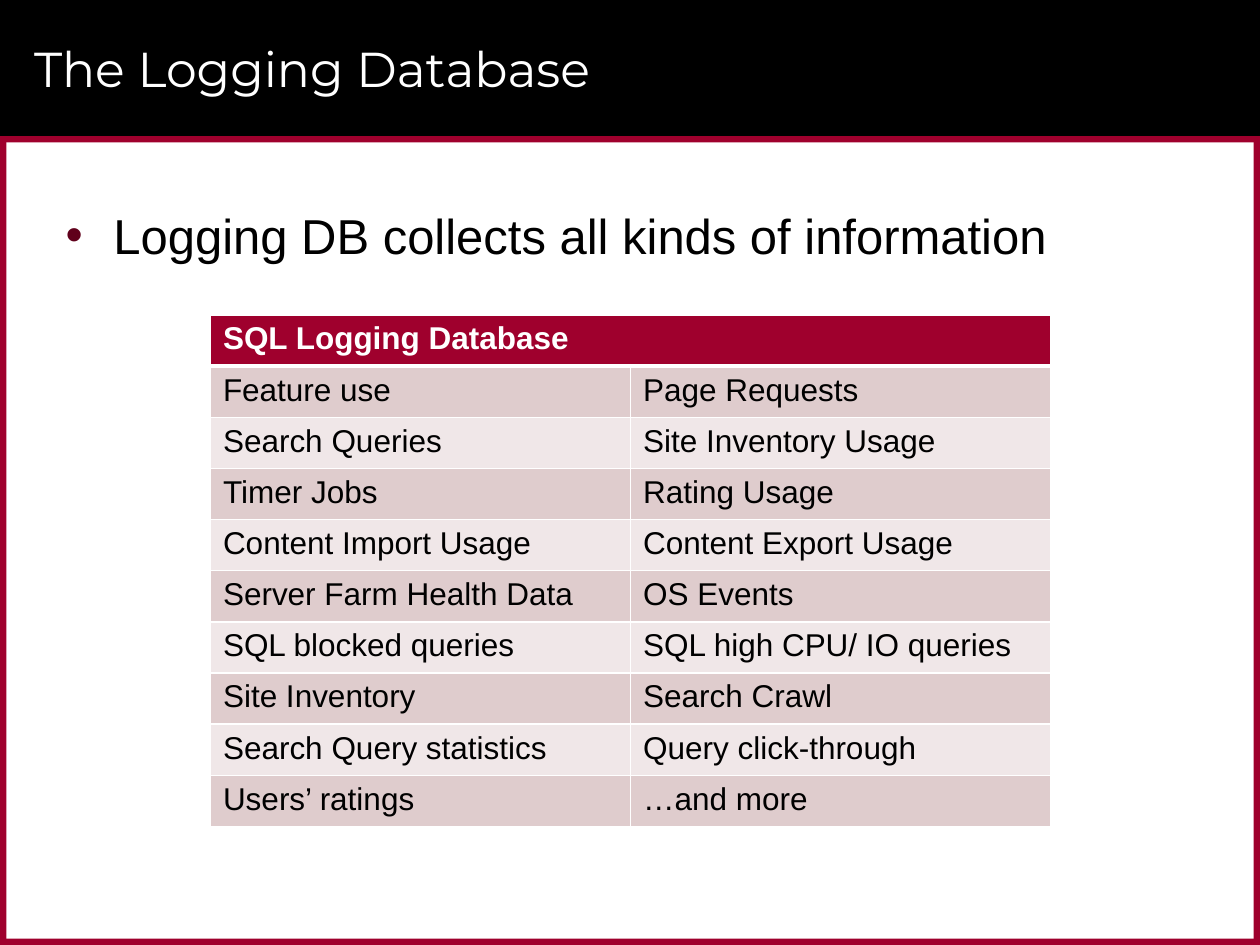
"""Build the slide on what the logging database collects."""
from lxml import etree
from pptx import Presentation
from pptx import util as u
from pptx.dml.color import RGBColor
from pptx.enum import shapes, text
from pptx.oxml.ns import qn

COLORS = {
    "black": "000000", "white": "FFFFFF", "crimson": "9F002D",
    "bullet": "60001B", "dark_band": "DFCCCD", "light_band": "F0E7E8",
}
HEADING = "SQL Logging Database"
LOGGED = [
    ("Feature use", "Page Requests"),
    ("Search Queries", "Site Inventory Usage"),
    ("Timer Jobs", "Rating Usage"),
    ("Content Import Usage", "Content Export Usage"),
    ("Server Farm Health Data", "OS Events"),
    ("SQL blocked queries", "SQL high CPU/ IO queries"),
    ("Site Inventory", "Search Crawl"),
    ("Search Query statistics", "Query click-through"),
    ("Users’ ratings", "…and more"),
]
FRAME = [
    ("black", 0, 0, 10, 1.08),
    ("crimson", 0, 1.08, 10, 0.05),
    ("crimson", 0, 7.45, 10, 0.05),
    ("crimson", 9.95, 1.08, 0.05, 6.42),
    ("crimson", 0, 1.08, 0.05, 6.42),
]


def rgb(name):
    return RGBColor.from_string(COLORS[name])


def paint(fill, color):
    fill.solid()
    fill.fore_color.rgb = rgb(color)


def set_format(target, **values):
    for attribute, value in values.items():
        setattr(target, attribute, value)


def set_font(paragraph, color, size, name="Arial", bold=False):
    set_format(paragraph.font, name=name, size=u.Pt(size), bold=bold)
    paragraph.font.color.rgb = rgb(color)


def add_bar(slide, color, *box):
    bar = slide.shapes.add_shape(shapes.MSO_SHAPE.RECTANGLE, *map(u.Inches, box))
    bar.shadow.inherit = False
    paint(bar.fill, color)
    bar.line.fill.background()


def fill_placeholder(slide, holder, words, box, anchor):
    left, top, width, height = map(u.Inches, box)
    set_format(holder, left=left, top=top, width=width, height=height)
    set_format(holder.text_frame, text=words, word_wrap=True,
               auto_size=text.MSO_AUTO_SIZE.NONE, vertical_anchor=anchor)
    slide.shapes._spTree.append(holder._element)
    paragraph = holder.text_frame.paragraphs[0]
    set_format(paragraph, alignment=text.PP_ALIGN.LEFT, space_before=u.Pt(0))
    return paragraph


def add_bullet(paragraph):
    properties = paragraph._p.get_or_add_pPr()
    properties.set("marL", str(u.Inches(0.38)))
    properties.set("indent", str(u.Inches(-0.38)))
    bullet_color = etree.SubElement(properties, qn("a:buClr"))
    etree.SubElement(bullet_color, qn("a:srgbClr"), val=COLORS["bullet"])
    etree.SubElement(properties, qn("a:buChar"), char="•")


def add_borders(cell, **widths):
    properties = cell._tc.get_or_add_tcPr()
    for side in "LRTB":
        width = u.Pt(widths.get(side, 1))
        border = etree.SubElement(properties, qn(f"a:ln{side}"), w=str(width))
        solid = etree.SubElement(border, qn("a:solidFill"))
        etree.SubElement(solid, qn("a:srgbClr"), val=COLORS["white"])


def add_logging_table(slide):
    rows = [(HEADING, ""), *LOGGED]
    box = map(u.Inches, (1.67, 2.5, 6.67, 4.06))
    table = slide.shapes.add_table(len(rows), 2, *box).table
    for row, entries in enumerate(rows):
        band = "dark_band" if row % 2 else "light_band"
        for column, entry in enumerate(entries):
            cell = table.cell(row, column)
            cell.text = entry
            add_borders(cell, T=3 if row == 1 else 1, B=3 if row == 0 else 1)
            paint(cell.fill, band if row else "crimson")
            set_font(cell.text_frame.paragraphs[0],
                     "black" if row else "white", 18, bold=row == 0)
    table.cell(0, 0).merge(table.cell(0, 1))


def main():
    deck = Presentation()
    set_format(deck, slide_width=u.Inches(10), slide_height=u.Inches(7.5))
    slide = deck.slides.add_slide(deck.slide_layouts[1])
    for bar in FRAME:
        add_bar(slide, *bar)

    title = fill_placeholder(slide, slide.shapes.title, "The Logging Database",
                             (0.17, 0.08, 9.42, 0.92), text.MSO_ANCHOR.MIDDLE)
    set_font(title, "white", 28, "Montserrat")

    summary = fill_placeholder(slide, slide.placeholders[1],
                               "Logging DB collects all kinds of information",
                               (0.42, 1.58, 9.17, 5.67), text.MSO_ANCHOR.TOP)
    summary.space_after = u.Pt(2)
    add_bullet(summary)
    set_font(summary, "black", 28)

    add_logging_table(slide)
    deck.save("out.pptx")


if __name__ == "__main__":
    main()
